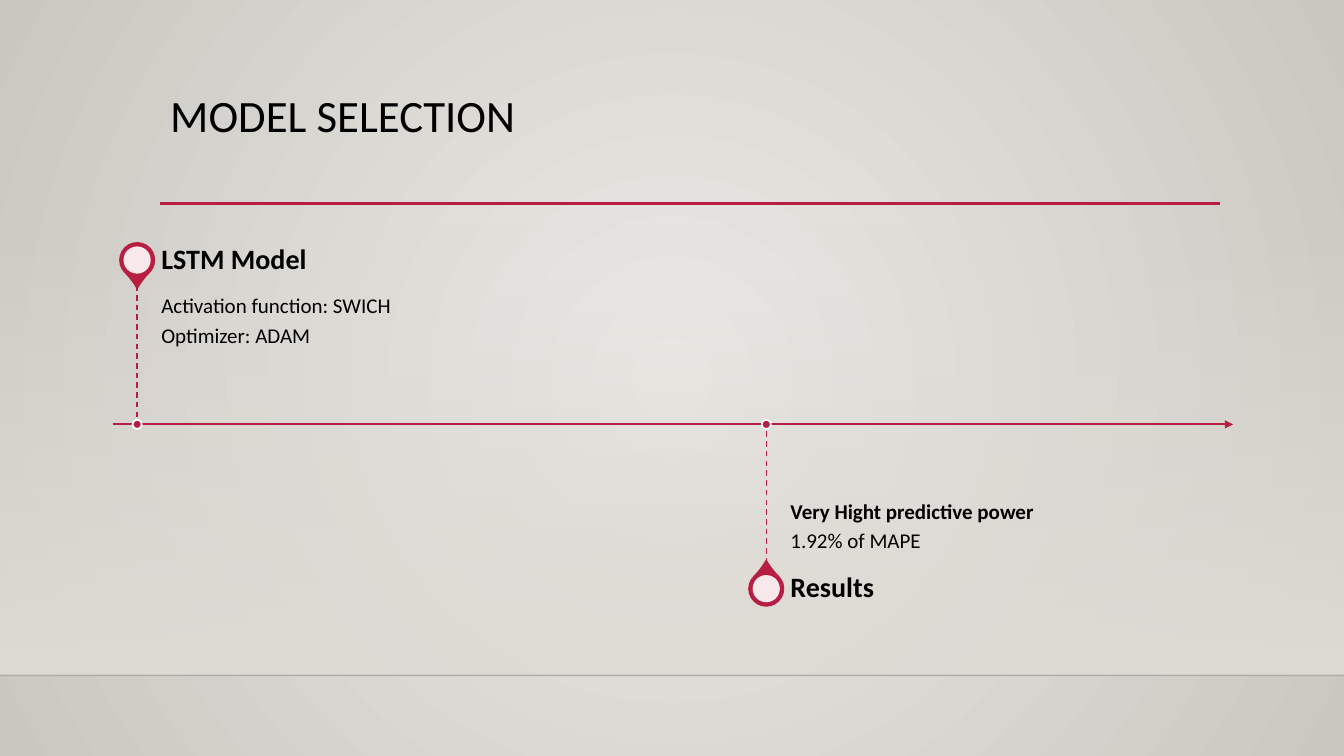
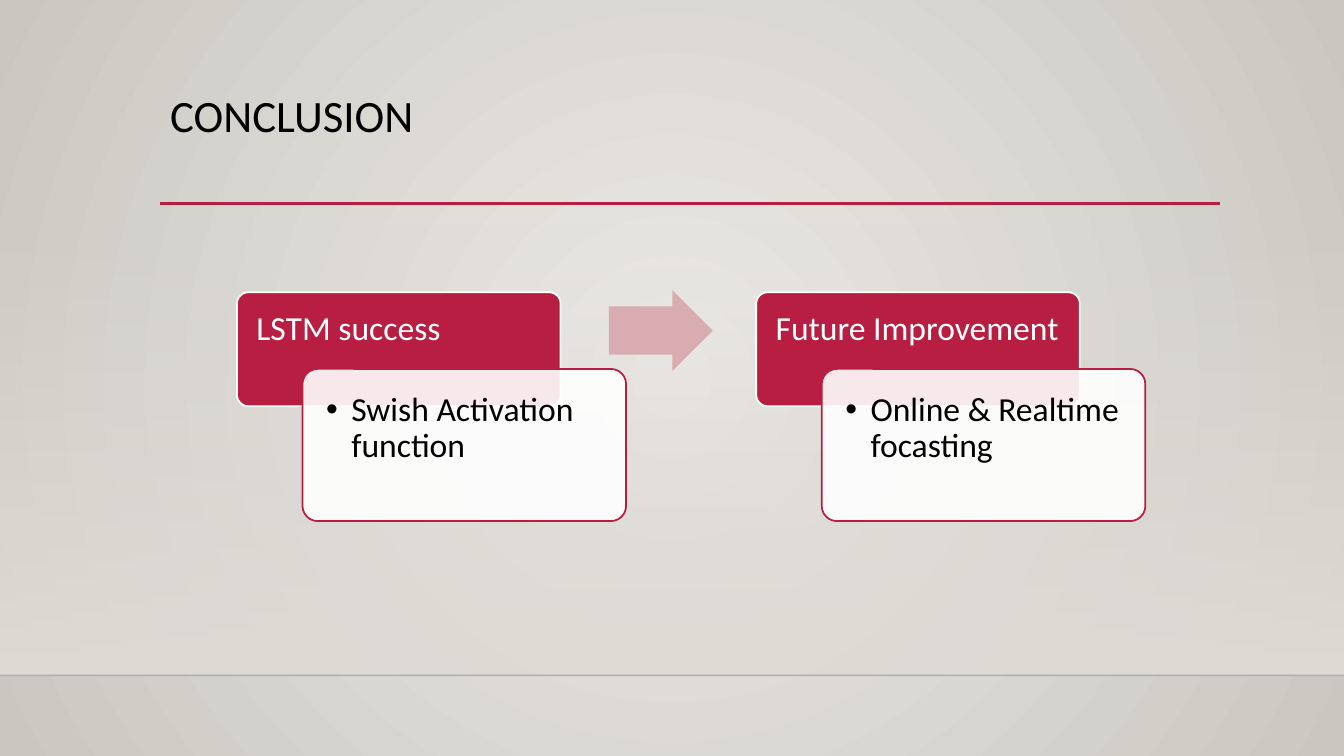
from lxml import etree
from pptx import Presentation
from pptx.dml.color import RGBColor
from pptx.enum.dml import MSO_LINE
from pptx.enum.shapes import MSO_CONNECTOR, MSO_SHAPE
from pptx.enum.text import MSO_ANCHOR, PP_ALIGN
from pptx.oxml.ns import qn
from pptx.util import Inches, Pt

STRAIGHT = MSO_CONNECTOR.STRAIGHT
DASH = MSO_LINE.DASH
RECTANGLE, ROUNDED = MSO_SHAPE.RECTANGLE, MSO_SHAPE.ROUNDED_RECTANGLE
OVAL, TEAR, RIGHT_ARROW = MSO_SHAPE.OVAL, MSO_SHAPE.TEAR, MSO_SHAPE.RIGHT_ARROW
TOP, MIDDLE, BOTTOM = MSO_ANCHOR.TOP, MSO_ANCHOR.MIDDLE, MSO_ANCHOR.BOTTOM
LEFT = PP_ALIGN.LEFT

# Content
TIMELINE_TITLE = "MODEL SELECTION"
MILESTONES = [
    {"center": 1.36, "above": True, "heading": "LSTM Model", "bold_lines": 0,
     "details": ["Activation function: SWICH", "Optimizer: ADAM"]},
    {"center": 7.6, "above": False, "heading": "Results", "bold_lines": 1,
     "details": ["Very Hight predictive power", "1.92% of MAPE"]},
]
CONCLUSION_TITLE = "CONCLUSION"
CARDS = [
    ("LSTM success", "Swish Activation function"),
    ("Future Improvement", "Online & Realtime focasting"),
]

# Style
FONT = "Calibri"
COLORS = {
    "accent": "B71E42", "arrow": "D8ACB0", "white": "FFFFFF", "text": "000000",
    "edge": "000001", "glow": "ECEAE7", "rim": "CAC7C1", "band": "DFDBD5",
}
SLIDE_WIDTH, SLIDE_HEIGHT = 13.33, 7.5
BAND_TOP, BAND_BOTTOM = 2.21, 6.7
TITLE_LEFT, TITLE_TOP, TITLE_WIDTH, TITLE_HEIGHT = 1.59, 0.88, 10.5, 1.15
RULE_Y = 2.02
AXIS_Y, AXIS_START, AXIS_END = 4.21, 1.12, 12.23
STEM, PIN_DISTANCE = 1.38, 1.63
PIN_SIZE, PIN_HOLE, DOT_SIZE = 0.34, 0.27, 0.09
LABEL_OFFSET, LABEL_WIDTH, HEADING_HEIGHT = 0.24, 4.04, 0.49
CARD_LEFT, CARD_TOP, CARD_WIDTH, CARD_PITCH = 2.35, 2.9, 3.21, 5.15
HEAD_HEIGHT, NOTE_HEIGHT, NOTE_SHIFT = 1.13, 1.51, (0.65, 0.76)


def rgb(name):
    """Return a palette colour."""
    return RGBColor.from_string(COLORS[name])


def set_opacity(shape, percent):
    """Set the opacity of the first colour a shape uses."""
    color = shape.element.spPr.find(".//" + qn("a:srgbClr"))
    etree.SubElement(color, qn("a:alpha"), val=str(percent * 1000))


def set_gradient(fill, first, last):
    """Turn a fill into a gradient of two colours."""
    fill.gradient()
    for stop, name, position in zip(fill.gradient_stops, (first, last), (0, 1)):
        stop.color.rgb = rgb(name)
        stop.position = position


def add_line(slide, start, end, color, width, dash=None):
    """Draw a straight line without shadow."""
    line = slide.shapes.add_connector(STRAIGHT, *map(Inches, start + end))
    line.line.color.rgb = rgb(color)
    line.line.width = Pt(width)
    if dash:
        line.line.dash_style = dash
    etree.SubElement(line.element.spPr, qn("a:effectLst"))
    return line


def add_shape(slide, kind, left, top, width, height, fill=None, outline=None):
    """Draw a preset shape without shadow, with a thin outline if named."""
    shape = slide.shapes.add_shape(kind, *map(Inches, (left, top, width, height)))
    shape.shadow.inherit = False
    if fill:
        shape.fill.solid()
        shape.fill.fore_color.rgb = rgb(fill)
    if outline:
        shape.line.color.rgb = rgb(outline)
        shape.line.width = Pt(1.25)
    else:
        shape.line.fill.background()
    return shape


def add_centered(slide, kind, center, middle, size, fill, outline=None):
    """Draw a square-framed shape around a point."""
    return add_shape(slide, kind, center - size / 2, middle - size / 2, size, size,
                     fill, outline)


def write(shape, lines, size, color="text", anchor=TOP, insets=(0.1, 0.05, 0.1, 0.05),
          bold_lines=0, space_after=0):
    """Write left-aligned lines into a shape; the first bold_lines are bold."""
    frame = shape.text_frame
    frame.text = "\n".join(lines)
    frame.word_wrap = True
    frame.vertical_anchor = anchor
    (frame.margin_left, frame.margin_top,
     frame.margin_right, frame.margin_bottom) = map(Inches, insets)
    for index, paragraph in enumerate(frame.paragraphs):
        paragraph.alignment = LEFT
        paragraph.line_spacing = 0.9
        paragraph.space_after = Pt(space_after)
        for run in paragraph.runs:
            run.font.name = FONT
            run.font.size = Pt(size)
            run.font.bold = index < bold_lines
            run.font.color.rgb = rgb(color)


def add_text(slide, left, top, width, height, lines, size, **style):
    """Add a text box."""
    box = slide.shapes.add_textbox(*map(Inches, (left, top, width, height)))
    write(box, lines, size, **style)


def add_bullet(paragraph, indent):
    """Give a paragraph a round bullet with a hanging indent."""
    properties = paragraph._p.get_or_add_pPr()
    properties.set("marL", str(Inches(indent)))
    properties.set("indent", str(-Inches(indent)))
    etree.SubElement(properties, qn("a:buFont"), typeface="Arial")
    etree.SubElement(properties, qn("a:buChar"), char="•")


def add_base_slide(presentation, title):
    """Add a slide with the shared background, band, rule and title."""
    slide = presentation.slides.add_slide(presentation.slide_layouts[6])
    set_gradient(slide.background.fill, "glow", "rim")
    gradient = slide.element.find(".//" + qn("a:gradFill"))
    gradient.remove(gradient.find(qn("a:lin")))
    radial = etree.SubElement(gradient, qn("a:path"), path="circle")
    etree.SubElement(radial, qn("a:fillToRect"), l="50000", t="50000", r="50000", b="50000")

    band = add_shape(slide, RECTANGLE, 0, BAND_TOP, SLIDE_WIDTH, BAND_BOTTOM - BAND_TOP)
    set_gradient(band.fill, "band", "band")
    band.fill.gradient_angle = 270
    set_opacity(band, 0)
    edge = add_line(slide, (0, BAND_BOTTOM), (SLIDE_WIDTH, BAND_BOTTOM), "edge", 1)
    set_opacity(edge, 20)
    add_line(slide, (TITLE_LEFT, RULE_Y), (12.1, RULE_Y), "accent", 2.5)
    add_text(slide, TITLE_LEFT, TITLE_TOP, TITLE_WIDTH, TITLE_HEIGHT, [title], 32)
    return slide


def add_milestone(slide, center, above, heading, details, bold_lines):
    """Add a pin, its stem to the axis, and its labels."""
    direction = -1 if above else 1
    pin_y = AXIS_Y + direction * PIN_DISTANCE
    stem_end = AXIS_Y + direction * STEM
    label_left = center + LABEL_OFFSET

    pin = add_centered(slide, TEAR, center, pin_y, PIN_SIZE, "accent", "accent")
    pin.adjustments[0] = 1.15
    pin.rotation = 135 if above else 315
    set_opacity(add_centered(slide, OVAL, center, pin_y, PIN_HOLE, "white"), 90)

    add_text(slide, label_left, min(AXIS_Y, stem_end), LABEL_WIDTH, STEM, details, 15,
             anchor=TOP if above else BOTTOM, bold_lines=bold_lines, space_after=5,
             insets=(0, 0.1, 0, 0.16) if above else (0, 0.16, 0.1, 0.1))
    add_text(slide, label_left, pin_y - HEADING_HEIGHT / 2, LABEL_WIDTH, HEADING_HEIGHT,
             [heading], 20, anchor=MIDDLE, insets=(0, 0, 0.14, 0), bold_lines=1)

    add_line(slide, (center, stem_end), (center, AXIS_Y), "accent", 1, DASH)
    add_centered(slide, OVAL, center, AXIS_Y, DOT_SIZE, "accent", "white")


def add_card(slide, left, heading, note):
    """Add a heading card with a note card overlapping it."""
    head = add_shape(slide, ROUNDED, left, CARD_TOP, CARD_WIDTH, HEAD_HEIGHT,
                     "accent", "white")
    head.adjustments[0] = 0.1
    write(head, [heading], 24, color="white", insets=(0.16, 0.16, 0.1, 0.1))

    shift_x, shift_y = NOTE_SHIFT
    note_card = add_shape(slide, ROUNDED, left + shift_x, CARD_TOP + shift_y,
                          CARD_WIDTH, NOTE_HEIGHT, "white", "accent")
    note_card.adjustments[0] = 0.1
    set_opacity(note_card, 90)
    write(note_card, [note], 24, insets=(0.19, 0.19, 0.15, 0.19))
    add_bullet(note_card.text_frame.paragraphs[0], 0.25)


def build_timeline(presentation):
    """Build the model selection slide."""
    slide = add_base_slide(presentation, TIMELINE_TITLE)
    axis = add_line(slide, (AXIS_START, AXIS_Y), (AXIS_END, AXIS_Y), "accent", 1.5)
    etree.SubElement(axis.element.spPr.find(qn("a:ln")), qn("a:tailEnd"), type="triangle")
    for milestone in MILESTONES:
        add_milestone(slide, **milestone)


def build_conclusion(presentation):
    """Build the conclusion slide."""
    slide = add_base_slide(presentation, CONCLUSION_TITLE)
    for index, (heading, note) in enumerate(CARDS):
        add_card(slide, CARD_LEFT + index * CARD_PITCH, heading, note)
    arrow = add_shape(slide, RIGHT_ARROW, 6.04, 2.88, 1.03, 0.8, "arrow")
    arrow.adjustments[0] = 0.6


presentation = Presentation()
presentation.slide_width = Inches(SLIDE_WIDTH)
presentation.slide_height = Inches(SLIDE_HEIGHT)
build_timeline(presentation)
build_conclusion(presentation)
presentation.save("out.pptx")
